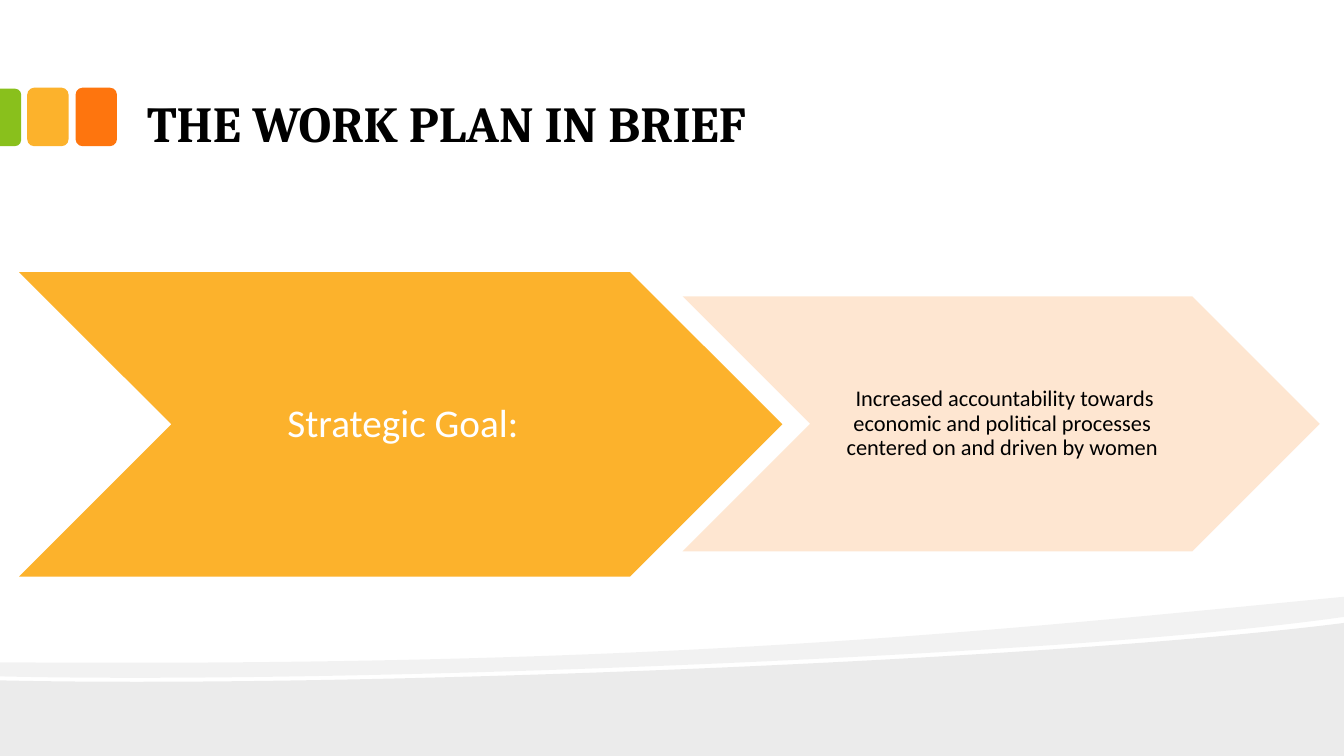
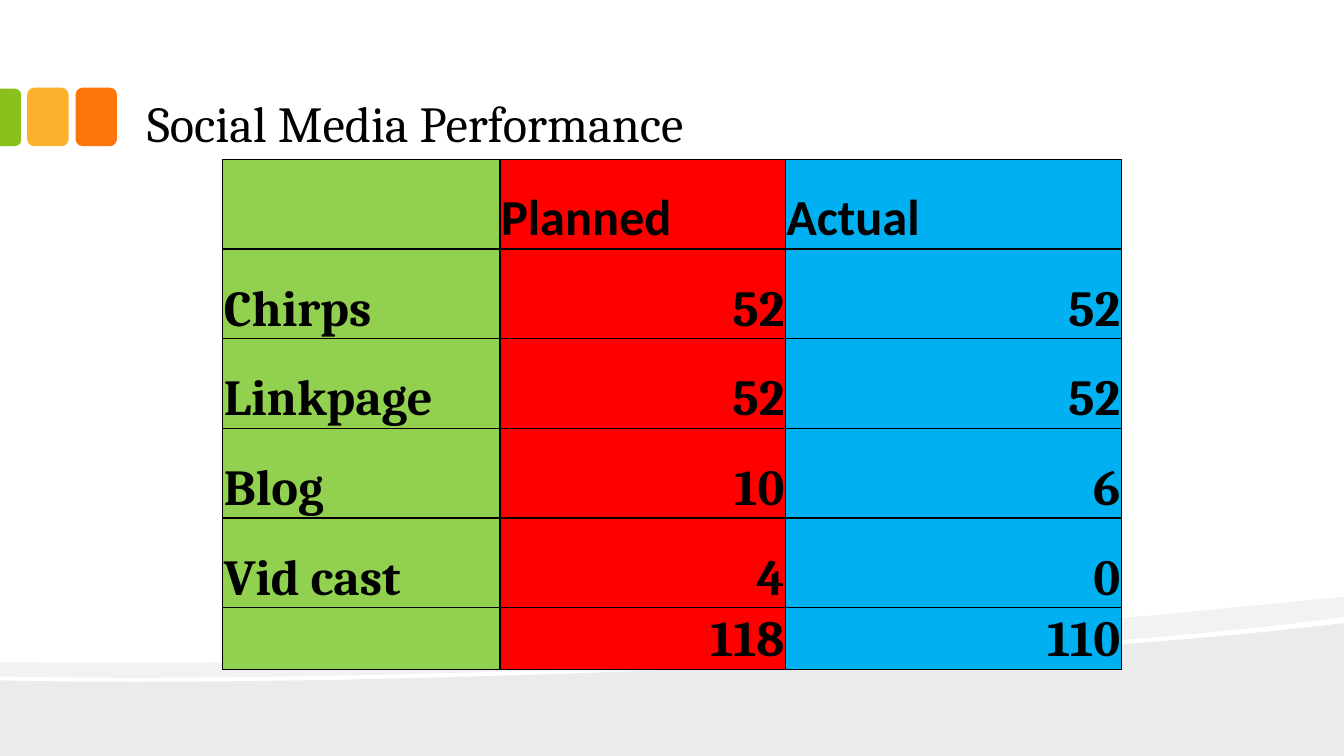
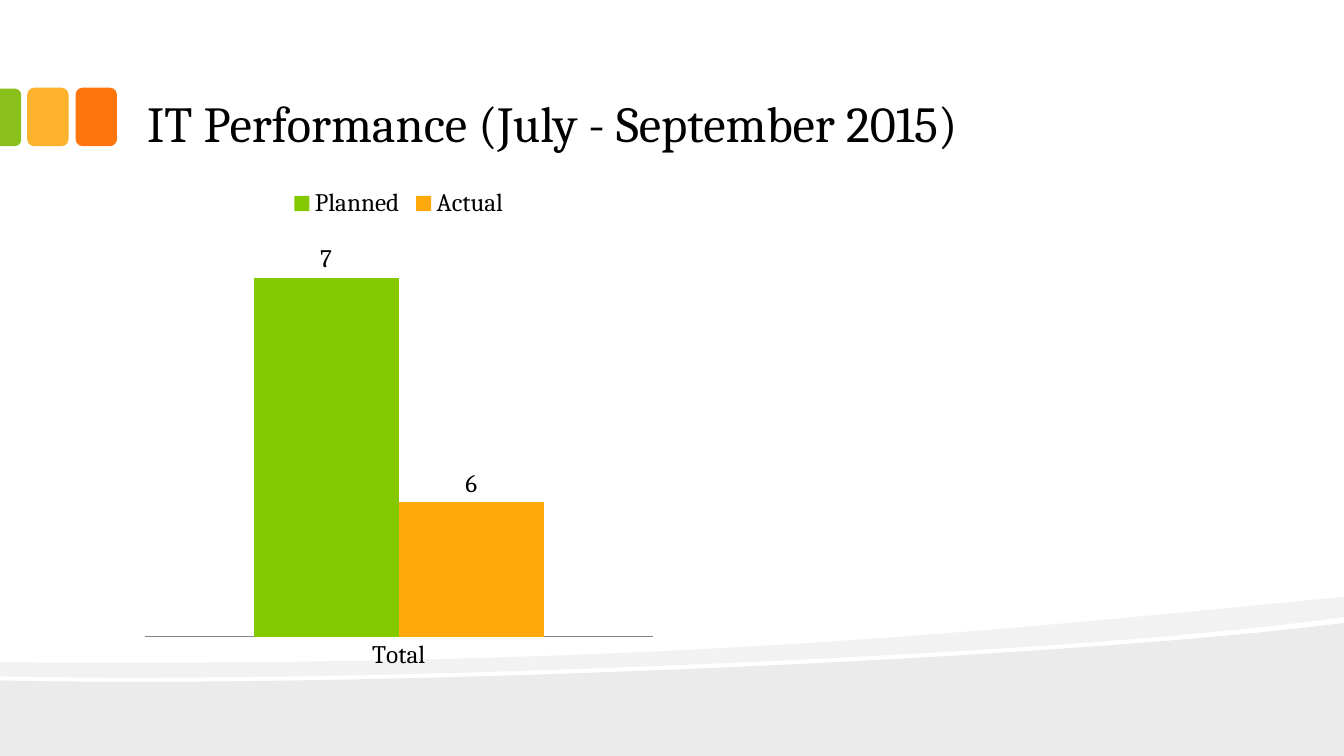
from dataclasses import dataclass

from lxml import etree
from pptx import Presentation
from pptx.chart.data import CategoryChartData
from pptx.dml.color import RGBColor
from pptx.enum.chart import XL_CHART_TYPE, XL_LABEL_POSITION, XL_LEGEND_POSITION, XL_TICK_MARK
from pptx.enum.shapes import MSO_SHAPE
from pptx.enum.text import MSO_ANCHOR, PP_ALIGN
from pptx.oxml.ns import qn
from pptx.util import Inches, Pt

COLUMNS = XL_CHART_TYPE.COLUMN_CLUSTERED
LABEL_ABOVE = XL_LABEL_POSITION.OUTSIDE_END
LEGEND_TOP = XL_LEGEND_POSITION.TOP
NO_TICK = XL_TICK_MARK.NONE
CHEVRON = MSO_SHAPE.CHEVRON
ROUNDED = MSO_SHAPE.ROUNDED_RECTANGLE
ROUNDED_TOP = MSO_SHAPE.ROUND_2_SAME_RECTANGLE
MIDDLE, BOTTOM = MSO_ANCHOR.MIDDLE, MSO_ANCHOR.BOTTOM
LEFT, CENTER, RIGHT = PP_ALIGN.LEFT, PP_ALIGN.CENTER, PP_ALIGN.RIGHT


@dataclass(frozen=True)
class Theme:
    heading_font: str = "Cambria"
    body_font: str = "Calibri"
    black: str = "000000"
    white: str = "FFFFFF"
    gray: str = "878787"
    green: str = "89C01C"
    amber: str = "FCB22C"
    orange: str = "FE750E"
    peach: str = "FEE4CD"
    chart_columns: tuple = ("84C800", "FFA90D")
    table_columns: tuple = ("92D050", "FF0000", "00B0F0")
    title_size: int = 36
    goal_size: int = 28
    chart_size: int = 18
    detail_size: int = 16


theme = Theme()


def write(frame, text, size, font=theme.body_font, color=theme.black, bold=False,
          align=LEFT, anchor=MIDDLE, margins=(0, 0, 0, 0), spacing=1.0):
    frame.word_wrap = True
    frame.vertical_anchor = anchor
    (frame.margin_left, frame.margin_top,
     frame.margin_right, frame.margin_bottom) = [Inches(margin) for margin in margins]
    para = frame.paragraphs[0]
    para.alignment = align
    para.line_spacing = spacing
    span = para.add_run()
    span.text = text
    span.font.name = font
    span.font.size = Pt(size)
    span.font.bold = bold
    span.font.color.rgb = RGBColor.from_string(color)


def paint(shape, color, opacity=100):
    shape.shadow.inherit = False
    shape.line.fill.background()
    shape.fill.solid()
    shape.fill.fore_color.rgb = RGBColor.from_string(color)
    if opacity < 100:
        color_node = shape.fill._xPr.find(".//" + qn("a:srgbClr"))
        etree.SubElement(color_node, qn("a:alpha"), val=str(opacity * 1000))


deck = Presentation()
deck.slide_width, deck.slide_height = Inches(13.33), Inches(7.5)
layout = deck.slide_layouts[6]
plan_page, media_page, chart_page = [deck.slides.add_slide(layout) for _ in range(3)]

# Footer waves: opacity and outline; six numbers give a Bezier curve
waves = [
    (8, [(13.33, 6.18), (13.33, 7.5), (0, 7.5), (0, 6.75),
         (3.52, 6.83, 10.42, 6.55, 13.33, 6.18)]),
    (5, [(13.33, 5.92), (13.33, 6.12), (12.55, 6.23, 11.49, 6.33, 10.29, 6.41),
         (6.98, 6.63, 2.58, 6.77, 0, 6.71), (0, 6.57),
         (6.52, 6.62, 9.71, 6.27, 13.33, 5.92)]),
]
design = []
for opacity, segments in waves:
    corners = [(Inches(segment[-2]), Inches(segment[-1])) for segment in segments]
    builder = plan_page.shapes.build_freeform(*corners[0])
    builder.add_line_segments(corners[1:])
    wave = builder.convert_to_shape()
    lines = list(wave._element.iter(qn("a:lnTo")))
    for line, segment in zip(lines, segments[1:]):
        if len(segment) == 6:
            curve = etree.Element(qn("a:cubicBezTo"))
            for x, y in zip(segment[::2], segment[1::2]):
                etree.SubElement(curve, qn("a:pt"), x=str(Inches(x) - wave.left),
                                 y=str(Inches(y) - wave.top))
            line.getparent().replace(line, curve)
    paint(wave, theme.black, opacity)
    design.append(wave)

# Coloured tabs beside the title
for left, color in ((0.75, theme.orange), (0.27, theme.amber)):
    tab = plan_page.shapes.add_shape(ROUNDED, Inches(left), Inches(0.87),
                                     Inches(0.41), Inches(0.58))
    paint(tab, color)
    design.append(tab)
edge_tab = plan_page.shapes.add_shape(ROUNDED_TOP, Inches(-0.18), Inches(1.06),
                                      Inches(0.57), Inches(0.21))
edge_tab.rotation = 90
edge_tab.adjustments[0] = 0.29
paint(edge_tab, theme.green)
design.append(edge_tab)

# The layout carries the design for every slide
for shape in design:
    layout.shapes._spTree.append(shape._element)

# Titles
titles = [(plan_page, "THE WORK PLAN IN BRIEF", True),
          (media_page, "Social Media Performance", False),
          (chart_page, "IT Performance (July - September 2015)", False)]
for page, title, bold in titles:
    title_box = page.shapes.add_textbox(Inches(1.33), Inches(0.16), Inches(10.66), Inches(1.42))
    write(title_box.text_frame, title, theme.title_size, font=theme.heading_font, bold=bold,
          anchor=BOTTOM, margins=(0.13, 0.07, 0.13, 0.07))

# Work plan: goal and its detail
chevrons = [
    ((0.19, 2.7, 7.57, 3.02), theme.amber, 100, "Strategic Goal:",
     theme.goal_size, theme.white, (0.04, 0.02, 0, 0.02)),
    ((6.77, 2.94, 6.32, 2.53), theme.peach, 90,
     " Increased accountability towards economic and political processes "
     "centered on and driven by women",
     theme.detail_size, theme.black, (0.02, 0.01, 0, 0.01)),
]
for place, fill, opacity, text, size, color, margins in chevrons:
    chevron = plan_page.shapes.add_shape(CHEVRON, *[Inches(length) for length in place])
    paint(chevron, fill, opacity)
    write(chevron.text_frame, text, size, color=color, align=CENTER,
          margins=margins, spacing=0.9)

# Social media: table of planned and actual posts
rows = [("", "Planned", "Actual"),
        ("Chirps", "52", "52"),
        ("Linkpage", "52", "52"),
        ("Blog", "10", "6"),
        ("Vid cast", "4", "0"),
        ("", "118", "110")]
column_widths = (2.75, 2.83, 3.33)
row_heights = [0.89] * 5 + [0.56]
table = media_page.shapes.add_table(
    len(rows), len(column_widths), Inches(2.21), Inches(1.58),
    Inches(sum(column_widths)), Inches(sum(row_heights))).table
table.first_row = table.horz_banding = False
for column, width in zip(table.columns, column_widths):
    column.width = Inches(width)
for row_index, values in enumerate(rows):
    table.rows[row_index].height = Inches(row_heights[row_index])
    for column_index, value in enumerate(values):
        cell = table.cell(row_index, column_index)
        properties = cell._tc.get_or_add_tcPr()
        for side in ("lnL", "lnR", "lnT", "lnB"):
            border = etree.SubElement(properties, qn("a:" + side), w=str(Pt(1)))
            border_fill = etree.SubElement(border, qn("a:solidFill"))
            etree.SubElement(border_fill, qn("a:srgbClr"), val=theme.black)
        cell.fill.solid()
        cell.fill.fore_color.rgb = RGBColor.from_string(theme.table_columns[column_index])
        cell.vertical_anchor = BOTTOM
        cell.margin_left = cell.margin_top = cell.margin_right = Inches(0.01)
        cell.margin_bottom = 0
        if value:
            write(cell.text_frame, value, theme.title_size, bold=True, anchor=None,
                  font=theme.heading_font if row_index else theme.body_font,
                  align=RIGHT if row_index and column_index else LEFT)

# IT performance: column chart
chart_data = CategoryChartData()
chart_data.categories = ["Total"]
chart_data.add_series("Planned", [7])
chart_data.add_series("Actual", [6])
chart = chart_page.shapes.add_chart(COLUMNS, Inches(1.33), Inches(1.75),
                                    Inches(5.25), Inches(5), chart_data).chart
chart.has_title = False
chart.font.name = theme.heading_font
chart.font.size = Pt(theme.chart_size)
chart.font.color.rgb = RGBColor.from_string(theme.black)
chart.has_legend = True
chart.legend.position = LEGEND_TOP
chart.legend.include_in_layout = False
chart.value_axis.visible = False
chart.value_axis.has_major_gridlines = False
chart.value_axis.minimum_scale = 5.4
chart.value_axis.maximum_scale = 7.2
chart.category_axis.major_tick_mark = NO_TICK
chart.category_axis.format.line.color.rgb = RGBColor.from_string(theme.gray)
plot = chart.plots[0]
plot.vary_by_categories = False
plot.gap_width = 150
plot.overlap = 0
plot.has_data_labels = True
plot.data_labels.show_value = True
plot.data_labels.position = LABEL_ABOVE
for series, color in zip(plot.series, theme.chart_columns):
    series.format.fill.solid()
    series.format.fill.fore_color.rgb = RGBColor.from_string(color)

deck.save("out.pptx")
